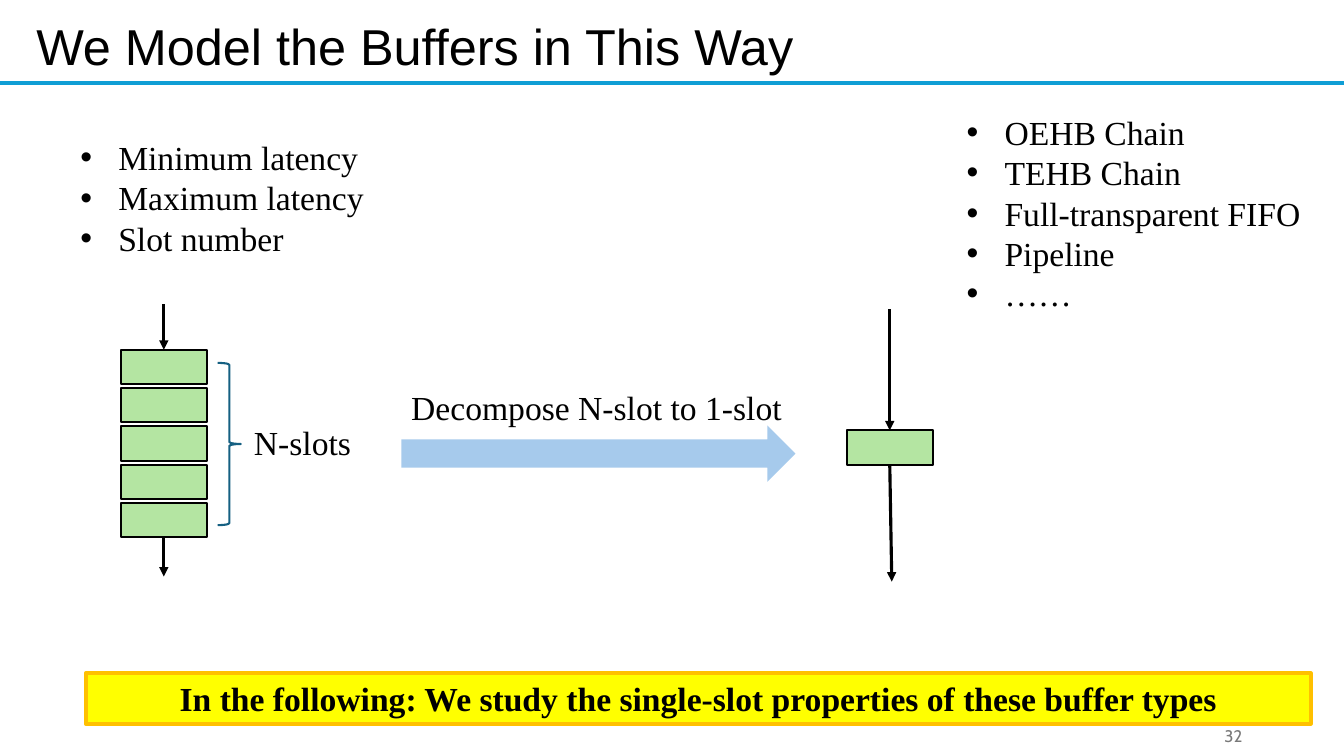
from lxml import etree
from pptx import Presentation
from pptx.dml.color import RGBColor
from pptx.enum.shapes import MSO_CONNECTOR, MSO_SHAPE
from pptx.enum.text import MSO_ANCHOR, PP_ALIGN
from pptx.oxml.ns import qn
from pptx.util import Inches, Pt

SERIF = "Times New Roman"
SLOT_WIDTH, SLOT_HEIGHT, SLOT_PITCH = 0.85, 0.34, 0.38


def color(hex_string):
    return RGBColor.from_string(hex_string)


def format_paragraph(paragraph, size=24, name=SERIF, hex_color="000000",
                     bold=False, align=PP_ALIGN.LEFT):
    paragraph.alignment = align
    font = paragraph.font
    font.size, font.name, font.bold = Pt(size), name, bold
    font.color.rgb = color(hex_color)


def add_text(slide, box, lines, bullets=False, wrap=False,
             anchor=MSO_ANCHOR.TOP, **style):
    shape = slide.shapes.add_textbox(*map(Inches, box))
    frame = shape.text_frame
    frame.word_wrap = wrap
    frame.vertical_anchor = anchor
    frame.text = "\n".join(lines)
    for paragraph in frame.paragraphs:
        if bullets:
            properties = paragraph._p.get_or_add_pPr()
            properties.set("marL", str(Inches(0.375)))
            properties.set("indent", str(-Inches(0.375)))
            etree.SubElement(properties, qn("a:buFont")).set("typeface", "Arial")
            etree.SubElement(properties, qn("a:buChar")).set("char", "•")
        format_paragraph(paragraph, **style)


def add_block(slide, kind, box, fill=None, line=None, width=1.5):
    shape = slide.shapes.add_shape(kind, *map(Inches, box))
    shape.shadow.inherit = False
    if fill:
        shape.fill.solid()
        shape.fill.fore_color.rgb = color(fill)
    else:
        shape.fill.background()
    if line:
        shape.line.color.rgb = color(line)
        shape.line.width = Pt(width)
    else:
        shape.line.fill.background()
    return shape


def add_line(slide, start, end, hex_color="000000", width=2.25, arrow=True):
    connector = slide.shapes.add_connector(
        MSO_CONNECTOR.STRAIGHT, *map(Inches, (*start, *end)))
    connector.line.color.rgb = color(hex_color)
    connector.line.width = Pt(width)
    if arrow:
        outline = connector.line._get_or_add_ln()
        etree.SubElement(outline, qn("a:tailEnd")).set("type", "triangle")
    etree.SubElement(connector._element.spPr, qn("a:effectLst"))


def add_header(slide, left, top, width, height):
    title = slide.shapes.title
    title.left, title.top, title.width, title.height = map(
        Inches, (left, top, width, height))
    title.text_frame.text = "We Model the Buffers in This Way"
    title.text_frame.vertical_anchor = MSO_ANCHOR.MIDDLE
    format_paragraph(title.text_frame.paragraphs[0], size=36, name="Arial")
    add_line(slide, (0, 0.82), (13.33, 0.82), "0F9ED5", 3, arrow=False)


def add_buffer(slide, left, top, slots, arrow_in, arrow_out, drift=0.0):
    """Stack of slots with an arrow entering above and one leaving below."""
    middle = left + SLOT_WIDTH / 2
    bottom = top + (slots - 1) * SLOT_PITCH + SLOT_HEIGHT
    add_line(slide, (middle, top - arrow_in), (middle, top))
    for index in range(slots):
        add_block(slide, MSO_SHAPE.RECTANGLE,
                  (left, top + index * SLOT_PITCH, SLOT_WIDTH, SLOT_HEIGHT),
                  "B4E5A2", "000000")
    add_line(slide, (middle, bottom), (middle + drift, bottom + arrow_out))


def add_multi_slot_model(slide, left, top):
    add_text(slide, (left - 0.5, top - 2.16, 3.03, 1.31),
             ["Minimum latency", "Maximum latency", "Slot number"], bullets=True)
    add_buffer(slide, left, top, slots=5, arrow_in=0.45, arrow_out=0.39)
    add_block(slide, MSO_SHAPE.RIGHT_BRACE,
              (left + 0.96, top + 0.13, 0.23, 1.61), line="156082")
    add_text(slide, (left + 1.22, top + 0.67, 1.17, 0.5), ["N-slots"])


def add_decomposition(slide, left, top, width):
    add_block(slide, MSO_SHAPE.RIGHT_ARROW, (left, top + 0.43, width, 0.56), "A6CAEC")
    add_text(slide, (left, top, width, 0.5), ["Decompose N-slot to 1-slot"])


def add_single_slot_model(slide, left, top):
    add_buffer(slide, left, top, slots=1, arrow_in=1.2, arrow_out=1.16, drift=0.02)
    add_text(slide, (left + 1.09, top - 3.21, 3.54, 2.12),
             ["OEHB Chain", "TEHB Chain", "Full-transparent FIFO", "Pipeline", "……"],
             bullets=True)


def add_footer(slide, left, top, width, height):
    banner = add_block(slide, MSO_SHAPE.RECTANGLE, (left, top, width, height),
                       "FFFF00", "FFC000", 3)
    frame = banner.text_frame
    frame.word_wrap = True
    frame.vertical_anchor = MSO_ANCHOR.TOP
    frame.text = ("In the following: We study the single-slot properties "
                  "of these buffer types")
    format_paragraph(frame.paragraphs[0], bold=True, align=PP_ALIGN.CENTER)
    add_text(slide, (9.42, top + 0.42, 3, 0.4), ["32"], wrap=True,
             anchor=MSO_ANCHOR.MIDDLE, size=12, name="Cabin",
             hex_color="797979", align=PP_ALIGN.RIGHT)


def main():
    presentation = Presentation()
    presentation.slide_width, presentation.slide_height = Inches(13.33), Inches(7.5)
    slide = presentation.slides.add_slide(presentation.slide_layouts[5])
    add_header(slide, 0.26, 0.1, 11.59, 0.71)
    add_multi_slot_model(slide, 1.2, 3.47)
    add_decomposition(slide, 3.98, 3.79, 3.91)
    add_single_slot_model(slide, 8.4, 4.27)
    add_footer(slide, 0.85, 6.68, 12.15, 0.5)
    presentation.save("out.pptx")


if __name__ == "__main__":
    main()
